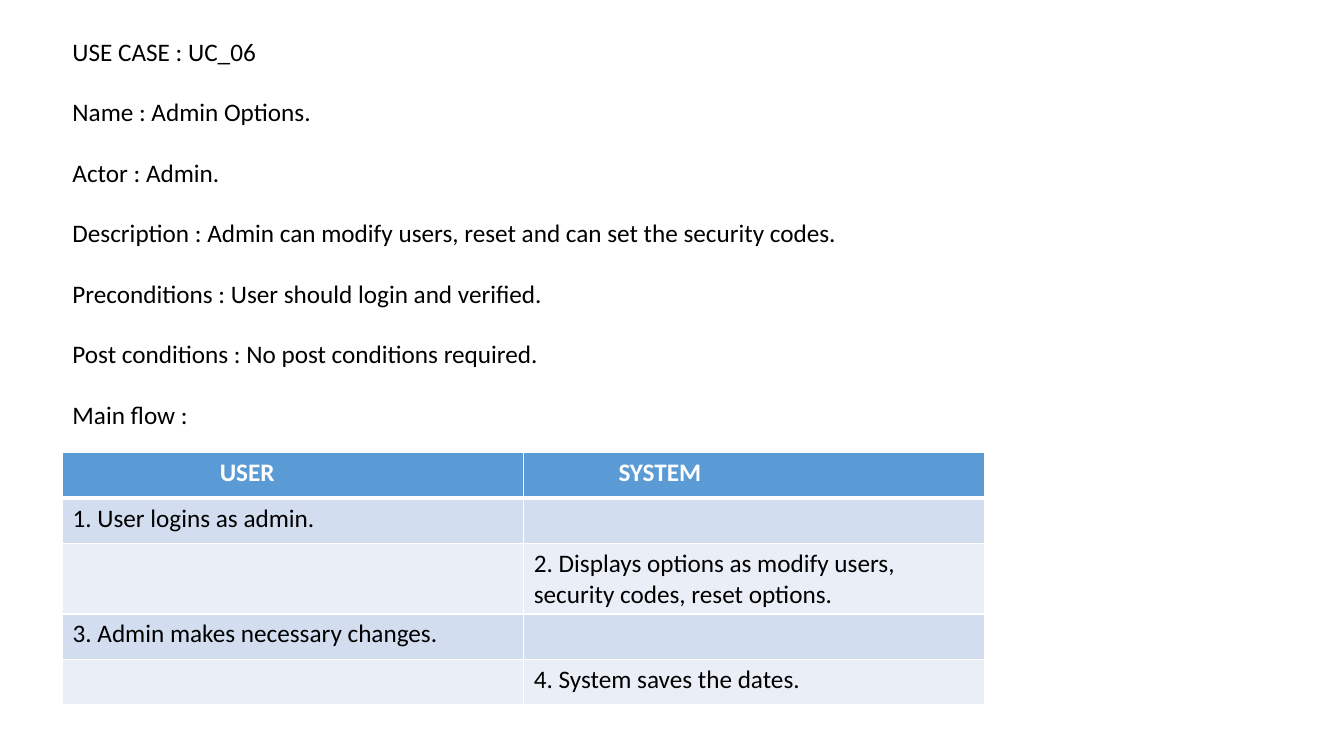
import dataclasses

import pptx
import pptx.dml.color
import pptx.enum.text
import pptx.oxml
import pptx.oxml.ns
import pptx.util


@dataclasses.dataclass(frozen=True)
class Theme:
    font: str = "Calibri"
    size: float = 18
    text: str = "000000"
    header_text: str = "FFFFFF"
    header_fill: str = "5B9BD5"
    bands: tuple = ("D2DEEF", "EAEFF7")
    border: str = "FFFFFF"
    thin: float = 1
    thick: float = 3


THEME = Theme()
SLIDE_SIZE = (13.33, 7.5)
LEFT, WIDTH = 0.62, 9.15
DETAILS_BOX = (LEFT, 0.31, WIDTH, 4.04)
FLOW_BOX = (LEFT, 4.49, WIDTH, 2.5)
CELL_MARGIN = 0.1
ROW_HEIGHT, TALL_ROW_HEIGHT = 0.45, 0.7
TALL_ROW = 2

DETAILS = [
    "USE CASE : UC_06",
    "Name : Admin Options.",
    "Actor : Admin.",
    "Description : Admin can modify users, reset and can set the security codes.",
    "Preconditions : User should login and verified.",
    "Post conditions : No post conditions required.",
    "Main flow :",
]
FLOW = [
    ("USER", "SYSTEM"),
    ("1. User logins as admin.", ""),
    ("", "2. Displays options as modify users, security codes, reset options."),
    ("3. Admin makes necessary changes.", ""),
    ("", "4. System saves the dates."),
]
HEADER_INDENTS = (1.46, 0.84)


def inches(values):
    return [pptx.util.Inches(value) for value in values]


def set_attributes(target, **values):
    for name, value in values.items():
        setattr(target, name, value)


def write(paragraph, text, color=THEME.text, bold=False):
    paragraph.text = text
    set_attributes(paragraph.font, name=THEME.font, size=pptx.util.Pt(THEME.size), bold=bold)
    for run in paragraph.runs:
        set_attributes(run.font, name=THEME.font, size=pptx.util.Pt(THEME.size), bold=bold)
        run.font.color.rgb = pptx.dml.color.RGBColor.from_string(color)


def add_details(slide, box):
    """Place the use case facts, one line apart."""
    frame = slide.shapes.add_textbox(*inches(box)).text_frame
    set_attributes(frame, word_wrap=True,
                   auto_size=pptx.enum.text.MSO_AUTO_SIZE.SHAPE_TO_FIT_TEXT)
    for index, text in enumerate(DETAILS):
        paragraph = frame.add_paragraph() if index else frame.paragraphs[0]
        write(paragraph, text)
        if index:
            paragraph.space_before = pptx.util.Pt(1.2 * THEME.size)


def set_borders(cell, top, bottom):
    properties = cell._tc.get_or_add_tcPr()
    widths = {"lnL": THEME.thin, "lnR": THEME.thin, "lnT": top, "lnB": bottom}
    for index, (side, width) in enumerate(widths.items()):
        properties.insert(index, pptx.oxml.parse_xml(
            f'<a:{side} {pptx.oxml.ns.nsdecls("a")} w="{pptx.util.Pt(width)}">'
            f'<a:solidFill><a:srgbClr val="{THEME.border}"/></a:solidFill></a:{side}>'))


def format_cell(cell, row, column, text):
    header = row == 0
    write(cell.text_frame.paragraphs[0], text,
          THEME.header_text if header else THEME.text, header)
    if header:
        cell.margin_left = pptx.util.Inches(CELL_MARGIN + HEADER_INDENTS[column])
    fill = THEME.header_fill if header else THEME.bands[(row - 1) % len(THEME.bands)]
    cell.fill.solid()
    cell.fill.fore_color.rgb = pptx.dml.color.RGBColor.from_string(fill)
    set_borders(cell,
                top=THEME.thick if row == 1 else THEME.thin,
                bottom=THEME.thick if header else THEME.thin)


def add_flow_table(slide, box):
    table = slide.shapes.add_table(len(FLOW), len(FLOW[0]), *inches(box)).table
    set_attributes(table, first_row=True, horz_banding=True)
    for column in table.columns:
        column.width = pptx.util.Inches(box[2] / len(FLOW[0]))
    for row, texts in enumerate(FLOW):
        height = TALL_ROW_HEIGHT if row == TALL_ROW else ROW_HEIGHT
        table.rows[row].height = pptx.util.Inches(height)
        for column, text in enumerate(texts):
            format_cell(table.cell(row, column), row, column, text)


def main():
    presentation = pptx.Presentation()
    width, height = inches(SLIDE_SIZE)
    set_attributes(presentation, slide_width=width, slide_height=height)
    slide = presentation.slides.add_slide(presentation.slide_layouts[6])
    add_details(slide, DETAILS_BOX)
    add_flow_table(slide, FLOW_BOX)
    presentation.save("out.pptx")


if __name__ == "__main__":
    main()
